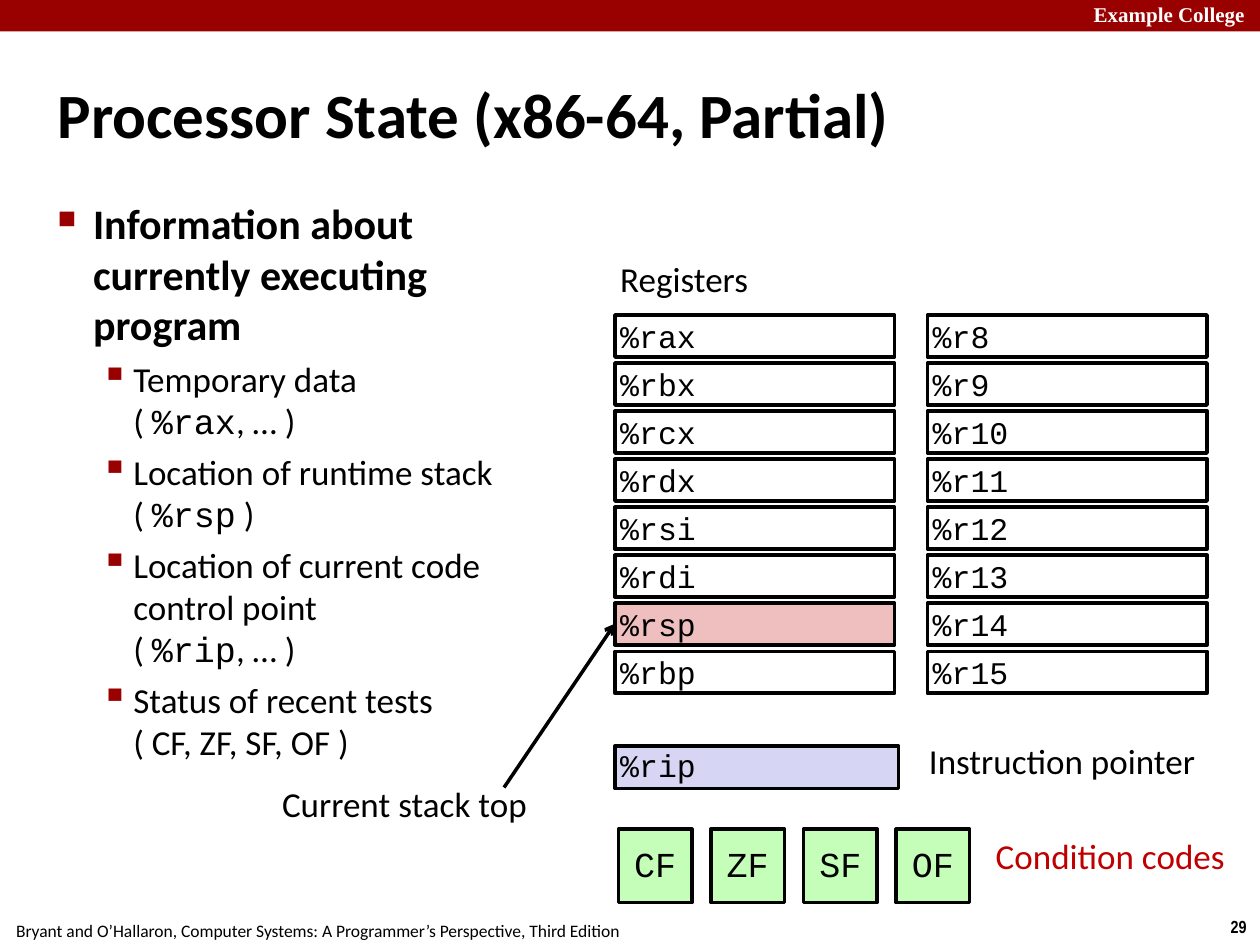
from lxml import etree
from pptx import Presentation
from pptx.dml.color import RGBColor
from pptx.enum.shapes import MSO_CONNECTOR, MSO_SHAPE
from pptx.enum.text import MSO_ANCHOR, MSO_AUTO_SIZE, PP_ALIGN
from pptx.oxml.ns import qn
from pptx.util import Pt

LEFT, CENTER = PP_ALIGN.LEFT, PP_ALIGN.CENTER
TOP, MIDDLE = MSO_ANCHOR.TOP, MSO_ANCHOR.MIDDLE
FIT, NO_FIT = MSO_AUTO_SIZE.SHAPE_TO_FIT_TEXT, MSO_AUTO_SIZE.NONE
RECT, STRAIGHT = MSO_SHAPE.RECTANGLE, MSO_CONNECTOR.STRAIGHT

SANS, MONO = "Calibri", "Courier New"
COLORS = {
    "black": "000000", "white": "FFFFFF", "banner": "990000", "accent": "C00000",
    "stack": "EFBFBF", "pointer": "D6D6F4", "flag": "C5FEB8",
}

SCHOOL = "Example College"
TITLE = "Processor State (x86-64, Partial)"
FOOTER = "Bryant and O’Hallaron, Computer Systems: A Programmer’s Perspective, Third Edition"
PAGE = "29"
HEADING = "Information about currently executing program"
POINTS = [
    [("Temporary data\n( ", SANS), ("%rax", MONO), (", … )", SANS)],
    [("Location of runtime stack\n( ", SANS), ("%rsp", MONO), (" )", SANS)],
    [("Location of current code control point\n( ", SANS), ("%rip", MONO), (", … )", SANS)],
    [("Status of recent tests\n( CF, ZF, SF, OF )", SANS)],
]
REGISTERS = [
    ["%rax", "%rbx", "%rcx", "%rdx", "%rsi", "%rdi", "%rsp", "%rbp"],
    ["%r8", "%r9", "%r10", "%r11", "%r12", "%r13", "%r14", "%r15"],
]
FLAGS = ["CF", "ZF", "SF", "OF"]
LABELS = [
    ("Registers", 351.4, 144, 80.6, LEFT),
    ("Current stack top", 156.2, 444.2, 149.8, CENTER),
    ("Instruction pointer", 525.6, 419.8, 162.7, CENTER),
]

REG_X, REG_Y, REG_W, REG_H = 351.4, 180, 159.8, 24
REG_DX, REG_DY = 178.6, 27.45
FLAG_X, FLAG_Y, FLAG_SIZE, FLAG_DX = 353.4, 473.8, 42, 52.9


def rgb(name):
    return RGBColor.from_string(COLORS[name])


def add_runs(p, text, size=20, font=SANS, color="black", bold=False):
    for i, line in enumerate(text.split("\n")):
        if i:
            p.add_line_break()
        r = p.add_run()
        r.text = line
        r.font.size, r.font.name, r.font.bold = Pt(size), font, bold
        r.font.color.rgb = rgb(color)


def set_text(s, text, align=LEFT, anchor=TOP, wrap=True, inset=(3, 3), spacing=None, **font):
    tf = s.text_frame
    tf.auto_size = NO_FIT if wrap else FIT
    tf.word_wrap = wrap
    tf.vertical_anchor = anchor
    tf.margin_left = tf.margin_right = Pt(inset[0])
    tf.margin_top = tf.margin_bottom = Pt(inset[1])
    p = tf.paragraphs[0]
    p.alignment, p.line_spacing = align, spacing
    add_runs(p, text, **font)
    return tf


def add_label(text, x, y, w, h, **fmt):
    sp = slide.shapes.add_textbox(Pt(x), Pt(y), Pt(w), Pt(h))
    return set_text(sp, text, **fmt)


def add_box(x, y, w, h, fill=None, line="black"):
    sp = slide.shapes.add_shape(RECT, Pt(x), Pt(y), Pt(w), Pt(h))
    sp.shadow.inherit = False
    if fill:
        sp.fill.solid()
        sp.fill.fore_color.rgb = rgb(fill)
    else:
        sp.fill.background()
    if line:
        sp.line.color.rgb = rgb(line)
        sp.line.width = Pt(2)
    else:
        sp.line.fill.background()
    return sp


def add_bullet(p, char, percent, left, hang, before):
    p.space_before = Pt(before)
    pPr = p._p.get_or_add_pPr()
    pPr.set("marL", str(Pt(left)))
    pPr.set("indent", str(-Pt(hang)))
    clr = etree.SubElement(pPr, qn("a:buClr"))
    etree.SubElement(clr, qn("a:srgbClr"), val=COLORS["banner"])
    etree.SubElement(pPr, qn("a:buSzPct"), val=str(percent * 1000))
    etree.SubElement(pPr, qn("a:buChar"), char=char)


def add_arrow(x1, y1, x2, y2):
    s = slide.shapes.add_connector(STRAIGHT, Pt(x1), Pt(y1), Pt(x2), Pt(y2))
    s.line.color.rgb = rgb("black")
    s.line.width = Pt(2)
    etree.SubElement(s.line._get_or_add_ln(), qn("a:tailEnd"), type="arrow")
    etree.SubElement(s._element.spPr, qn("a:effectLst"))


prs = Presentation()
prs.slide_width, prs.slide_height = Pt(720), Pt(540)
slide = prs.slides.add_slide(prs.slide_layouts[6])

add_label(PAGE, 695.5, 519.8, 24.5, 19.4, align=CENTER, wrap=False,
          inset=(7.2, 3.6), size=10, font="Arial Narrow", bold=True)
add_label(FOOTER, -1.4, 522, 365.8, 19.4, align=CENTER, wrap=False,
          inset=(7.2, 3.6), size=10)
add_box(0, 0, 720, 18, fill="banner", line=None)
add_label(SCHOOL, 622, -2, 103.7, 20, size=12, font="Times New Roman",
          color="white", bold=True)
add_label(TITLE, 30, 20, 660, 90, anchor=MIDDLE, size=36, bold=True)

tf = add_label(HEADING, 30, 110, 263, 428, size=24, bold=True)
add_bullet(tf.paragraphs[0], "■", 60, 20.2, 20.2, 6)
for parts in POINTS:
    p = tf.add_paragraph()
    p.level = 1
    add_bullet(p, "▪", 110, 43.2, 18.7, 5)
    for text, font in parts:
        add_runs(p, text, font=font)

for text, x, y, w, align in LABELS:
    add_label(text, x, y, w, 30.2, align=align, wrap=False)
add_label("Condition codes", 566, 473.8, 141.8, 35.3, color="accent")

for col, names in enumerate(REGISTERS):
    for row, name in enumerate(names):
        sp = add_box(REG_X + col * REG_DX, REG_Y + row * REG_DY, REG_W, REG_H,
                     fill="stack" if name == "%rsp" else None)
        set_text(sp, name, anchor=MIDDLE, size=18, font=MONO)

sp = add_box(REG_X, 426.2, 162, 24.5, fill="pointer")
set_text(sp, "%rip", anchor=MIDDLE, spacing=0.95, size=18, font=MONO)

for i, name in enumerate(FLAGS):
    sp = add_box(FLAG_X + i * FLAG_DX, FLAG_Y, FLAG_SIZE, FLAG_SIZE, fill="flag")
    set_text(sp, name, align=CENTER, anchor=MIDDLE, spacing=0.95, font=MONO)

add_arrow(288, 450, REG_X, 356.4)

prs.save("out.pptx")
